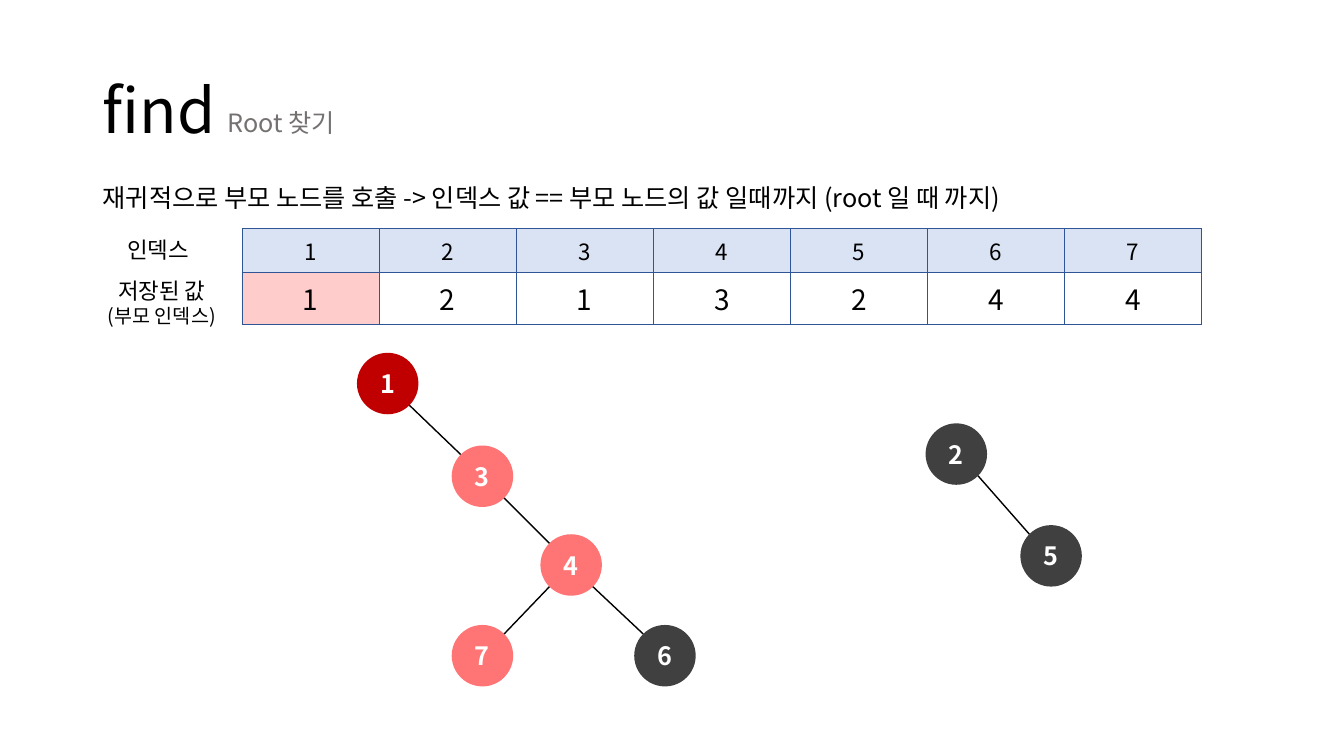
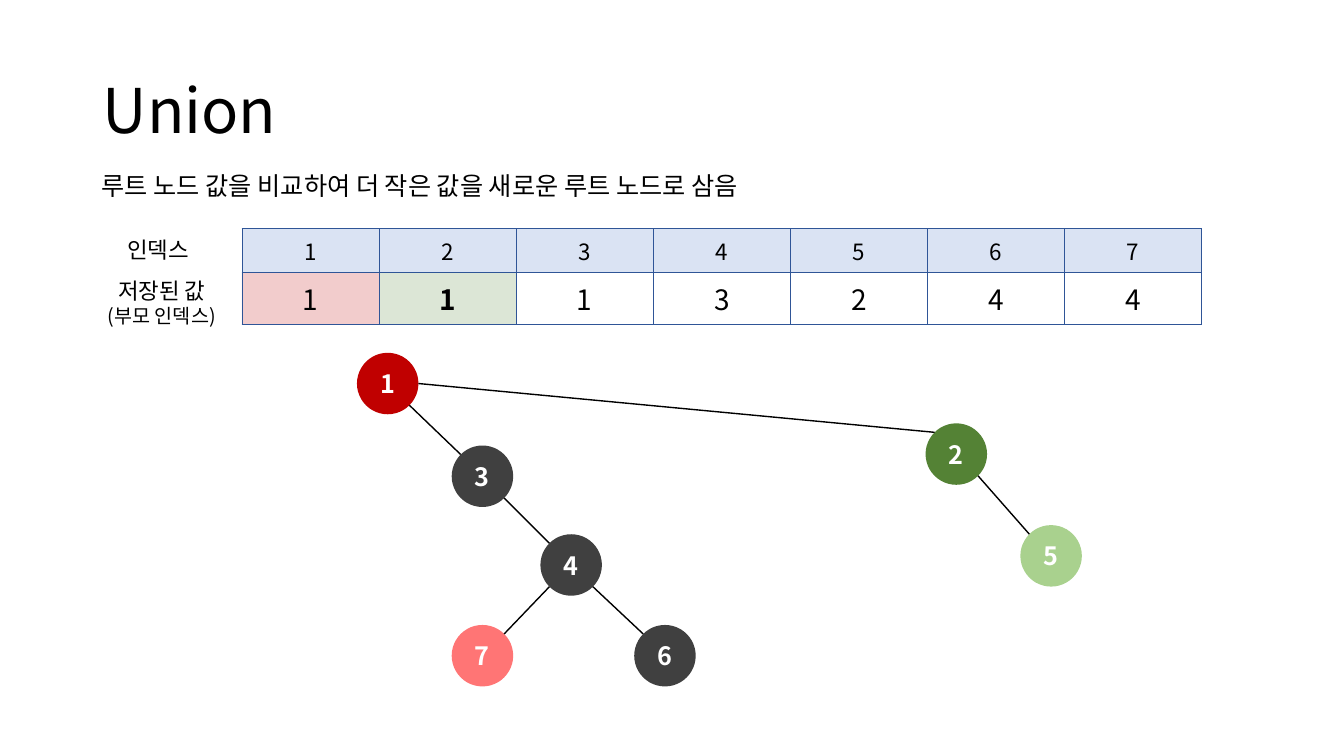
import dataclasses
import math
import typing

import lxml.etree
import pptx
import pptx.dml.color
import pptx.enum.shapes
import pptx.enum.text
import pptx.oxml.ns
import pptx.slide
import pptx.table
import pptx.text.text
import pptx.util

SCALE = 9144  # EMU in one px, 100 px to the inch
FONT = "Noto Sans CJK KR"
COLORS = {
    "black": "000000", "white": "FFFFFF", "gray": "767171", "node": "404040",
    "root": "C00000", "path_node": "FF7575", "red": "FF0000",
    "green": "548235", "light_green": "A9D18E",
    "header": "DAE3F3", "border": "2F5597",
}
VALUE_ALPHA = 20
NODE_SIZE = 61
NODE_POS = {1: (354, 350), 3: (448, 442), 4: (536, 530), 6: (629, 620),
            7: (448, 620), 2: (918, 420), 5: (1012, 521)}
TABLE_POS = (240, 227)
COL_WIDTH = 136
ROW_HEIGHTS = (43, 52)

DIAG = math.sqrt(0.5)
SITES = {"right": (1, 0), "top_left": (-DIAG, -DIAG), "top_right": (DIAG, -DIAG),
         "bottom_left": (-DIAG, DIAG), "bottom_right": (DIAG, DIAG)}

ALIGN = pptx.enum.text.PP_ALIGN
ANCHOR = pptx.enum.text.MSO_ANCHOR


class Box(typing.NamedTuple):
    x: int
    y: int
    w: int
    h: int


class Line(typing.NamedTuple):
    text: str
    size: int = 18
    color: str = "black"
    bold: bool = False


class Edge(typing.NamedTuple):
    start: int
    start_site: str
    end: int
    end_site: str


@dataclasses.dataclass(frozen=True)
class Page:
    title: str
    summary: str
    summary_pos: tuple[int, int]
    values: list[int]
    value_fills: dict[int, str]  # by column
    node_colors: dict[int, str]
    subtitle: str = ""
    bold_columns: tuple[int, ...] = ()
    extra_edges: tuple[Edge, ...] = ()


TREE_EDGES = (
    Edge(1, "bottom_right", 3, "top_left"),
    Edge(3, "bottom_right", 4, "top_left"),
    Edge(4, "bottom_right", 6, "top_left"),
    Edge(4, "bottom_left", 7, "top_right"),
    Edge(2, "bottom_right", 5, "top_left"),
)

PAGES = [
    Page(
        title="find", subtitle="Root 찾기",
        summary="재귀적으로 부모 노드를 호출 -> 인덱스 값 == 부모 노드의 값 일때까지 (root 일 때 까지)",
        summary_pos=(92, 176),
        values=[1, 2, 1, 3, 2, 4, 4], value_fills={0: "red"},
        node_colors={1: "root", 3: "path_node", 4: "path_node", 7: "path_node"},
    ),
    Page(
        title="Union",
        summary="루트 노드 값을 비교하여 더 작은 값을 새로운 루트 노드로 삼음",
        summary_pos=(91, 164),
        values=[1, 1, 1, 3, 2, 4, 4], value_fills={0: "root", 1: "green"},
        bold_columns=(1,),
        node_colors={1: "root", 7: "path_node", 2: "green", 5: "light_green"},
        extra_edges=(Edge(1, "right", 2, "top_left"),),
    ),
]


def px(n: float) -> pptx.util.Emu:
    return pptx.util.Emu(round(n * SCALE))


def rgb(name: str) -> pptx.dml.color.RGBColor:
    return pptx.dml.color.RGBColor.from_string(COLORS[name])


def sub(parent: typing.Any, tag: str, **attrs: str) -> typing.Any:
    return lxml.etree.SubElement(parent, pptx.oxml.ns.qn(tag), attrs)


def write(tf: pptx.text.text.TextFrame, *lines: Line,
          align: ALIGN = ALIGN.CENTER, spacing: float | None = None) -> None:
    for i, line in enumerate(lines):
        p = tf.add_paragraph() if i else tf.paragraphs[0]
        p.alignment, p.line_spacing = align, spacing
        r = p.add_run()
        r.text = line.text
        style = {"name": FONT, "size": pptx.util.Pt(line.size), "bold": line.bold}
        for key, value in style.items():
            setattr(r.font, key, value)
        r.font.color.rgb = rgb(line.color)
        sub(r.font._element, "a:ea", typeface=FONT)


def add_text(s: pptx.slide.Slide, box: Box, *lines: Line, align: ALIGN = ALIGN.LEFT,
             anchor: ANCHOR = ANCHOR.TOP, spacing: float | None = None) -> None:
    tf = s.shapes.add_textbox(*map(px, box)).text_frame
    tf.word_wrap = True
    tf.vertical_anchor = anchor
    write(tf, *lines, align=align, spacing=spacing)


def add_node(s: pptx.slide.Slide, number: int, color: str) -> None:
    sp = s.shapes.add_shape(pptx.enum.shapes.MSO_SHAPE.OVAL,
                            *map(px, (*NODE_POS[number], NODE_SIZE, NODE_SIZE)))
    sp.shadow.inherit = False
    sp.fill.solid()
    sp.fill.fore_color.rgb = rgb(color)
    sp.line.fill.background()
    sp.text_frame.vertical_anchor = ANCHOR.MIDDLE
    write(sp.text_frame, Line(str(number), color="white", bold=True))


def site_point(number: int, site: str) -> list[pptx.util.Emu]:
    """Point on the rim of a node."""
    r = NODE_SIZE / 2
    return [px(start + r + r * d) for start, d in zip(NODE_POS[number], SITES[site])]


def add_edge(s: pptx.slide.Slide, edge: Edge) -> None:
    c = s.shapes.add_connector(pptx.enum.shapes.MSO_CONNECTOR.STRAIGHT,
                               *site_point(edge.start, edge.start_site),
                               *site_point(edge.end, edge.end_site))
    c.line.color.rgb = rgb("black")
    c.line.width = pptx.util.Pt(1)
    sub(c._element.spPr, "a:effectLst")


def fill_cell(cell: pptx.table._Cell, line: Line, color: str, alpha: int = 100) -> None:
    cell.vertical_anchor = ANCHOR.MIDDLE
    write(cell.text_frame, line)
    tc_pr = cell._tc.get_or_add_tcPr()
    for side in "LRTB":
        ln = sub(tc_pr, f"a:ln{side}", w=str(pptx.util.Pt(0.75)))
        sub(sub(ln, "a:solidFill"), "a:srgbClr", val=COLORS["border"])
    clr = sub(sub(tc_pr, "a:solidFill"), "a:srgbClr", val=COLORS[color])
    if alpha < 100:
        sub(clr, "a:alpha", val=str(alpha * 1000))


def add_parent_table(s: pptx.slide.Slide, page: Page) -> None:
    n = len(page.values)
    size = (COL_WIDTH * n, sum(ROW_HEIGHTS))
    table = s.shapes.add_table(2, n, *map(px, (*TABLE_POS, *size))).table
    table.first_row = table.horz_banding = False
    for row, height in zip(table.rows, ROW_HEIGHTS):
        row.height = px(height)
    for i, value in enumerate(page.values):
        table.columns[i].width = px(COL_WIDTH)
        fill_cell(table.cell(0, i), Line(str(i + 1), 16), "header")
        fill_cell(table.cell(1, i), Line(str(value), 20, bold=i in page.bold_columns),
                  page.value_fills.get(i, "white"), VALUE_ALPHA)
    add_text(s, Box(96, 229, 122, 37), Line("인덱스", 16), align=ALIGN.CENTER)
    add_text(s, Box(81, 270, 159, 64), Line("저장된 값", 16), Line("(부모 인덱스)", 14),
             align=ALIGN.CENTER)


def build_page(prs: typing.Any, page: Page) -> None:
    s = prs.slides.add_slide(prs.slide_layouts[6])
    add_text(s, Box(92, 40, 1150, 145), Line(page.title, 44),
             anchor=ANCHOR.MIDDLE, spacing=0.9)
    if page.subtitle:
        add_text(s, Box(216, 102, 372, 40), Line(page.subtitle, color="gray"))
    add_text(s, Box(*page.summary_pos, 1066, 40), Line(page.summary))
    add_parent_table(s, page)
    for number in NODE_POS:
        add_node(s, number, page.node_colors.get(number, "node"))
    for edge in TREE_EDGES + page.extra_edges:
        add_edge(s, edge)


def main() -> None:
    prs = pptx.Presentation()
    prs.slide_width, prs.slide_height = px(1333), px(750)
    for page in PAGES:
        build_page(prs, page)
    prs.save("out.pptx")


if __name__ == "__main__":
    main()
